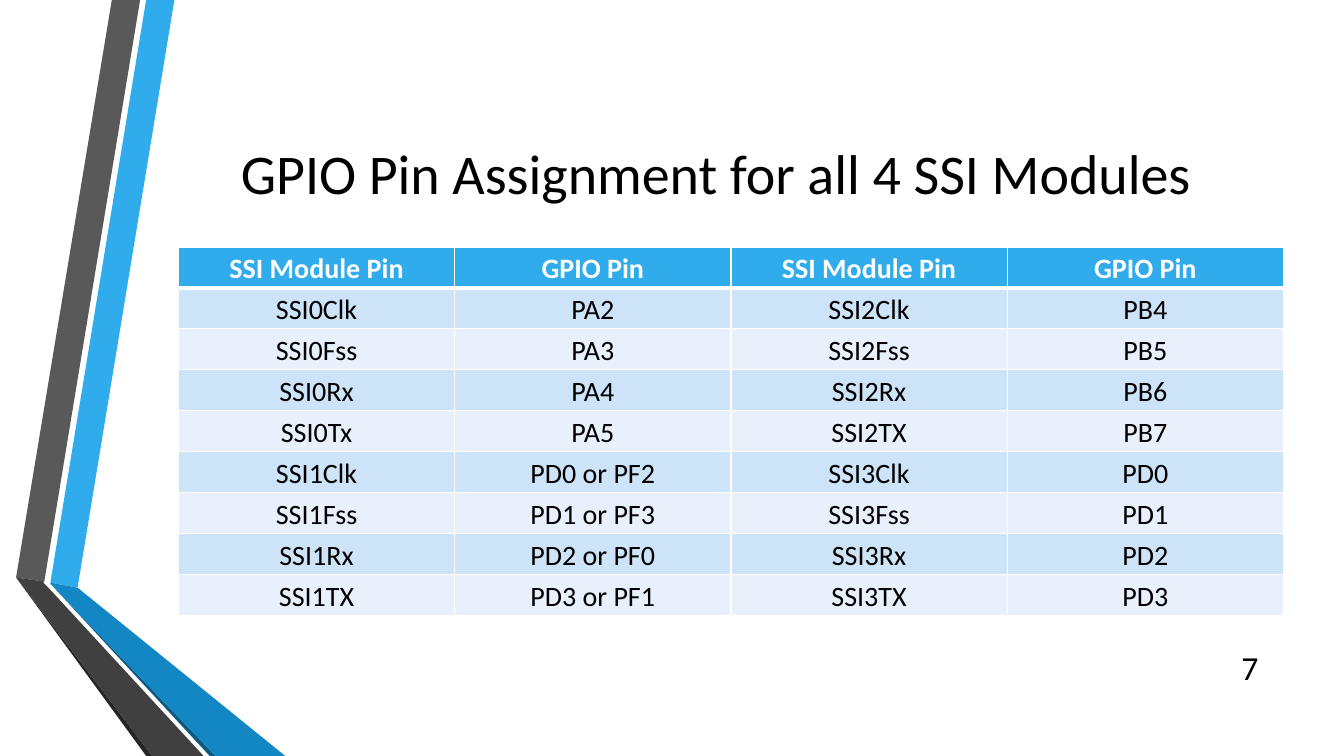
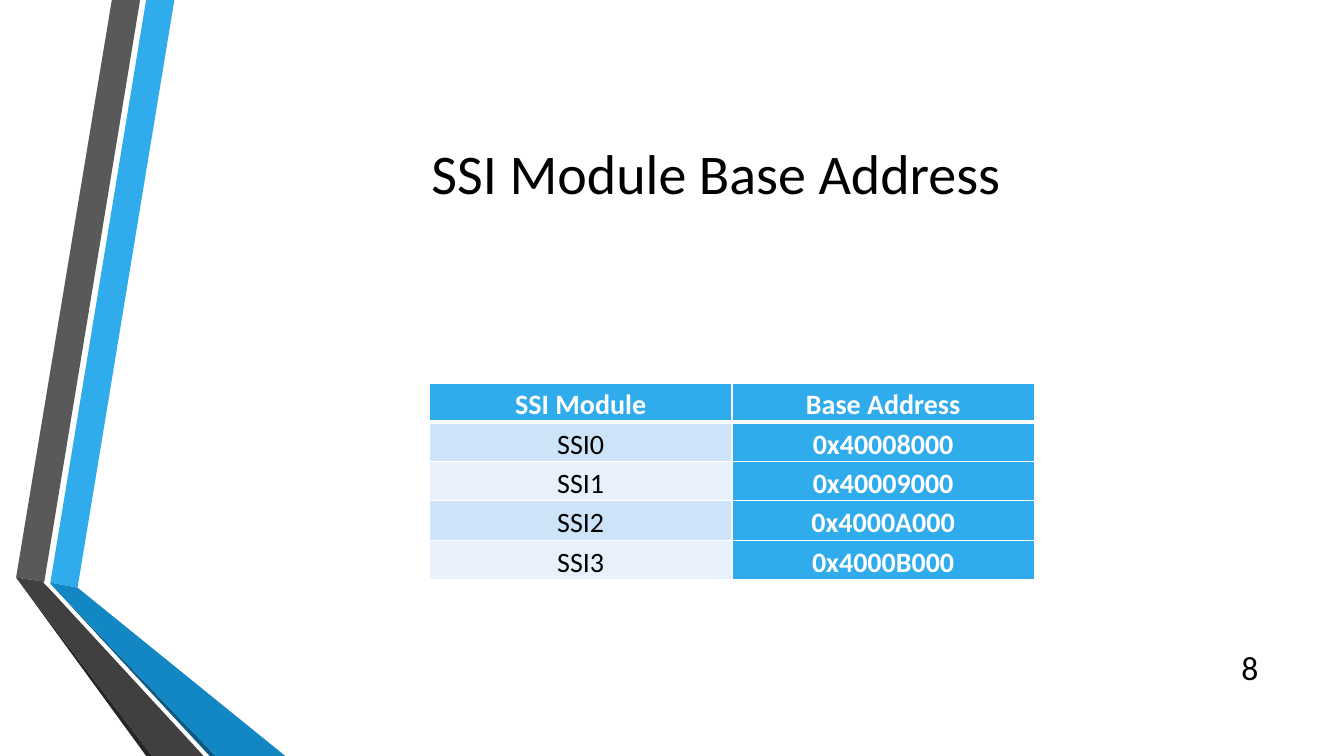
from dataclasses import dataclass

from lxml.etree import SubElement
from pptx import Presentation
from pptx.dml.color import RGBColor
from pptx.enum.text import MSO_ANCHOR as Anchor, PP_ALIGN as Align
from pptx.oxml.ns import qn
from pptx.util import Inches, Pt

FONT = "Calibri"
BLACK, WHITE = "000000", "FFFFFF"
BLUE, PALE_BLUE, PALEST_BLUE = "30ACEC", "CDE3F8", "E8F1FB"
THIN_BORDER, HEADER_BORDER = 1, 3


@dataclass(frozen=True)
class Band:
    fill: str
    points: tuple[tuple[float, float], ...]


@dataclass(frozen=True)
class TableSlide:
    title: str
    number: int
    left: float
    top: float
    column_width: float
    row_height: float
    rows: tuple[tuple[str, ...], ...]
    accent_last_column: bool = False


# Ribbon on the left edge, from back to front
BANDS = (
    Band(BLUE, ((0.5, 5.78), (0.77, 5.83), (1.73, 0), (1.45, 0))),
    Band("595959", ((1.39, 0), (1.11, 0), (0.16, 5.73), (0.44, 5.77))),
    Band("262626", ((0.16, 5.73), (1.45, 7.5), (1.51, 7.5))),
    Band("0C5A82", ((0.5, 5.79), (2.08, 7.5), (2.14, 7.5))),
    Band("1287C3", ((0.5, 5.79), (2.14, 7.5), (2.83, 7.5), (0.77, 5.83), (0.5, 5.78))),
    Band("404040", ((2.02, 7.5), (0.48, 5.83), (0.43, 5.78), (0.44, 5.77),
                    (0.16, 5.73), (1.51, 7.5))),
)

SLIDES = (
    TableSlide(
        "GPIO Pin Assignment for all 4 SSI Modules", 7, 1.77, 2.45, 2.74, 0.406,
        (
            ("SSI Module Pin", "GPIO Pin", "SSI Module Pin", "GPIO Pin"),
            ("SSI0Clk", "PA2", "SSI2Clk", "PB4"),
            ("SSI0Fss", "PA3", "SSI2Fss", "PB5"),
            ("SSI0Rx", "PA4", "SSI2Rx", "PB6"),
            ("SSI0Tx", "PA5", "SSI2TX", "PB7"),
            ("SSI1Clk", "PD0 or PF2", "SSI3Clk", "PD0"),
            ("SSI1Fss", "PD1 or PF3", "SSI3Fss", "PD1"),
            ("SSI1Rx", "PD2 or PF0", "SSI3Rx", "PD2"),
            ("SSI1TX", "PD3 or PF1", "SSI3TX", "PD3"),
        ),
    ),
    TableSlide(
        "SSI Module Base Address", 8, 4.26, 3.8, 3, 0.39,
        (
            ("SSI Module", "Base Address"),
            ("SSI0", "0x40008000"),
            ("SSI1", "0x40009000"),
            ("SSI2", "0x4000A000"),
            ("SSI3", "0x4000B000"),
        ),
        accent_last_column=True,
    ),
)


def color(value: str) -> RGBColor:
    return RGBColor.from_string(value)


def style_paragraph(paragraph, size: int, text_color: str, align, bold: bool = False) -> None:
    paragraph.alignment = align
    font = paragraph.font
    font.name, font.size, font.bold = FONT, Pt(size), bold
    font.color.rgb = color(text_color)


def add_text(slide, text: str, box: tuple[float, ...], size: int, align) -> None:
    frame = slide.shapes.add_textbox(*map(Inches, box)).text_frame
    frame.word_wrap = True
    frame.vertical_anchor = Anchor.MIDDLE
    frame.text = text
    style_paragraph(frame.paragraphs[0], size, BLACK, align)


def add_ribbon(slide) -> None:
    group = slide.shapes.add_group_shape()
    for band in BANDS:
        start, *others = [(Inches(x), Inches(y)) for x, y in band.points]
        builder = group.shapes.build_freeform(*start)
        builder.add_line_segments(others, close=True)
        shape = builder.convert_to_shape()
        shape.shadow.inherit = False
        shape.fill.solid()
        shape.fill.fore_color.rgb = color(band.fill)
        shape.line.fill.background()


def set_borders(cell, top: int, bottom: int) -> None:
    properties = cell._tc.get_or_add_tcPr()
    widths = {"lnL": THIN_BORDER, "lnR": THIN_BORDER, "lnT": top, "lnB": bottom}
    for side, width in widths.items():
        line = SubElement(properties, qn(f"a:{side}"), w=str(Pt(width)))
        fill = SubElement(line, qn("a:solidFill"))
        SubElement(fill, qn("a:srgbClr"), val=WHITE)


def fill_cell(cell, text: str, row: int, accent: bool) -> None:
    # Borders go before the fill in the cell properties
    set_borders(cell,
                top=HEADER_BORDER if row == 1 else THIN_BORDER,
                bottom=HEADER_BORDER if row == 0 else THIN_BORDER)
    cell.fill.solid()
    stripe = PALE_BLUE if row % 2 else PALEST_BLUE
    cell.fill.fore_color.rgb = color(BLUE if accent else stripe)
    cell.margin_left = cell.margin_right = Inches(0.07)
    cell.margin_top = cell.margin_bottom = 0
    cell.text = text
    paragraph = cell.text_frame.paragraphs[0]
    paragraph.line_spacing = 1.15
    style_paragraph(paragraph, 20, WHITE if accent else BLACK, Align.CENTER, bold=accent)


def add_pin_table(slide, content: TableSlide) -> None:
    row_count, column_count = len(content.rows), len(content.rows[0])
    table = slide.shapes.add_table(
        row_count, column_count, Inches(content.left), Inches(content.top),
        Inches(content.column_width * column_count),
        Inches(content.row_height * row_count)).table
    for row, texts in enumerate(content.rows):
        for column, text in enumerate(texts):
            last = column == column_count - 1
            accent = row == 0 or (content.accent_last_column and last)
            fill_cell(table.cell(row, column), text, row, accent)


def add_table_slide(presentation, content: TableSlide) -> None:
    slide = presentation.slides.add_slide(presentation.slide_layouts[6])
    add_ribbon(slide)
    add_text(slide, content.title, (1.62, 0.75, 10.96, 1.92), 40, Align.CENTER)
    add_text(slide, str(content.number), (11.98, 6.42, 0.6, 0.4), 24, Align.RIGHT)
    add_pin_table(slide, content)


def main() -> None:
    presentation = Presentation()
    presentation.slide_width = Inches(13.33)
    presentation.slide_height = Inches(7.5)
    for content in SLIDES:
        add_table_slide(presentation, content)
    presentation.save("out.pptx")


if __name__ == "__main__":
    main()
